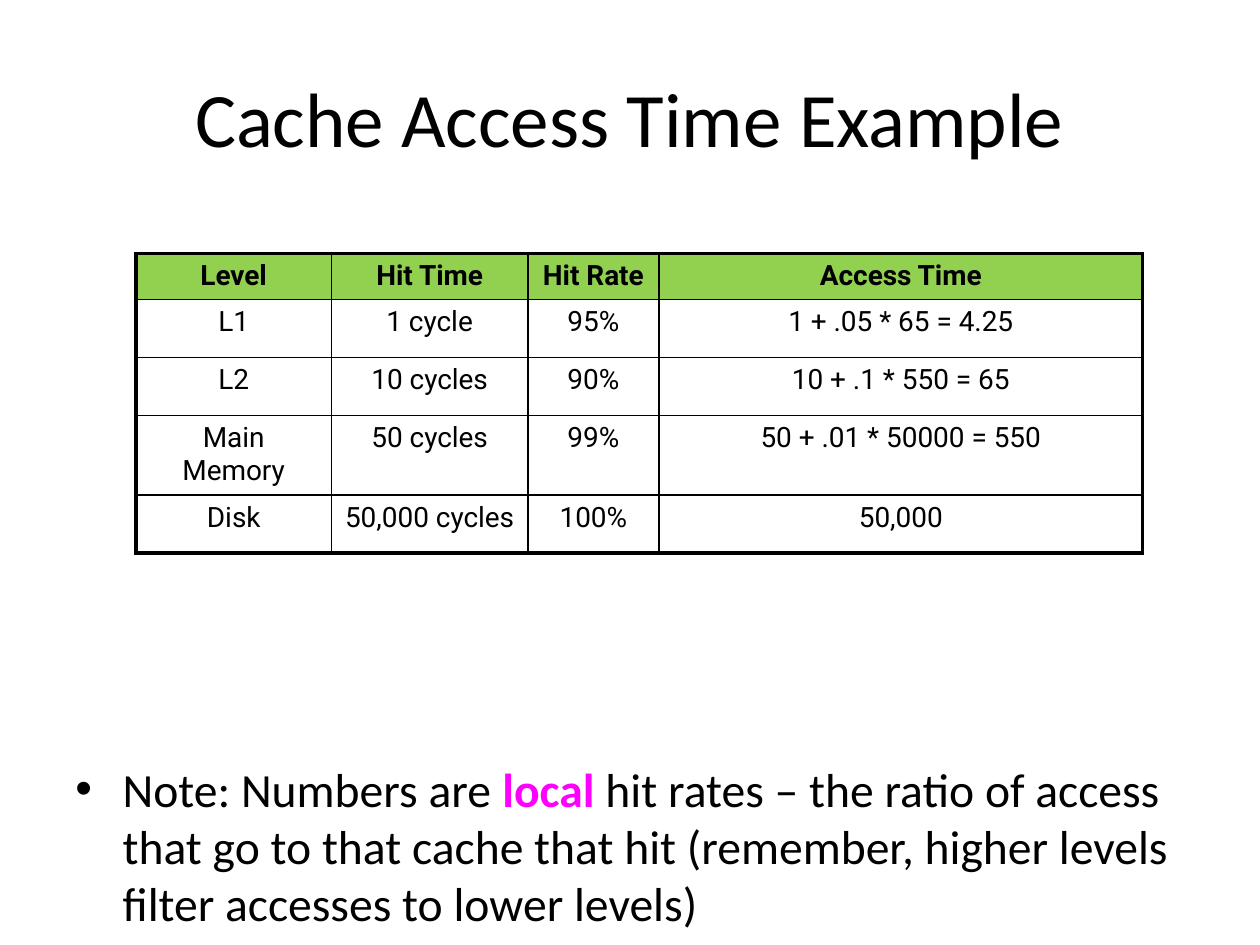
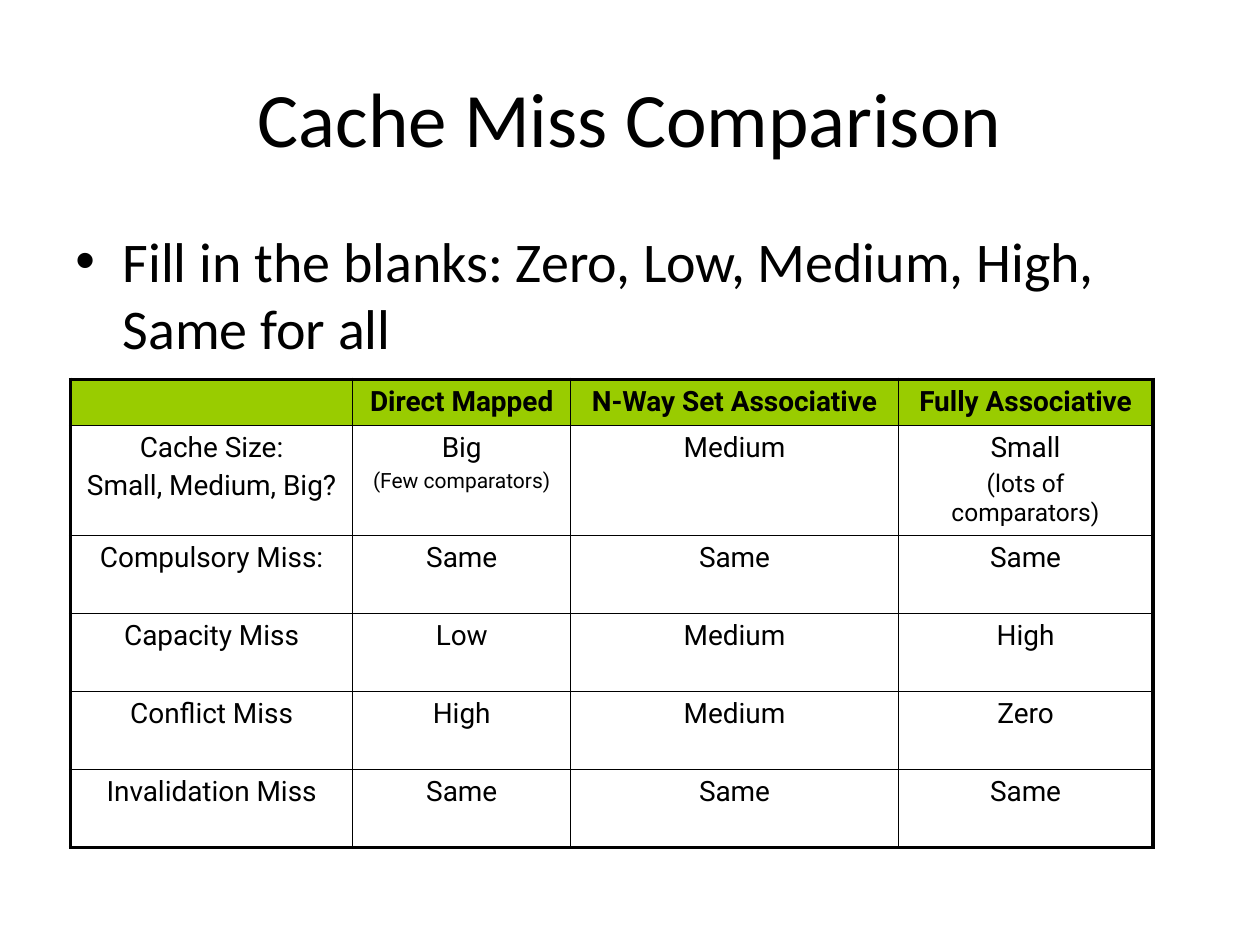
"""Build two slides on cache access times and cache misses."""
from lxml.etree import SubElement as Sub
from pptx import Presentation
from pptx.dml.color import RGBColor as RGB
from pptx.enum.text import MSO_ANCHOR as Anchor, PP_ALIGN as Align
from pptx.oxml.ns import qn
from pptx.util import Inches, Pt

BLACK = RGB(0, 0, 0)
PINK = RGB(255, 0, 255)
GREEN = RGB(0x92, 0xD0, 0x50)
LIME = RGB(0x99, 0xCC, 0)
COLS, ROWS = 100, 75
THIN, THICK = 1, 2.25

TIMES = [
    ["Level", "Hit Time", "Hit Rate", "Access Time"],
    ["L1", "1 cycle", "95%", "1 + .05 * 65 = 4.25"],
    ["L2", "10 cycles", "90%", "10 + .1 * 550 = 65"],
    ["Main Memory", "50 cycles", "99%", "50 + .01 * 50000 = 550"],
    ["Disk", "50,000 cycles", "100%", "50,000"],
]
MISSES = [
    ["", "Direct Mapped", "N-Way Set Associative", "Fully Associative"],
    ["Cache Size:\nSmall, Medium, Big?", "Big\n(Few comparators)",
     "Medium", "Small\n(lots of comparators)"],
    ["Compulsory Miss:", "Same", "Same", "Same"],
    ["Capacity Miss", "Low", "Medium", "High"],
    ["Conflict Miss", "High", "Medium", "Zero"],
    ["Invalidation Miss", "Same", "Same", "Same"],
]
ASIDES = {"(Few comparators)": 12, "(lots of comparators)": 14}


class Deck:
    """Hold the style and the current slide."""

    def __init__(self):
        self.show = Presentation()
        self.show.slide_width, self.show.slide_height = Inches(10), Inches(7.5)
        self.slide = None

    def across(self, cols):
        return int(self.show.slide_width * cols / COLS)

    def down(self, rows):
        return int(self.show.slide_height * rows / ROWS)

    def font(self, para, size, name="Calibri", bold=False):
        font = para.font
        font.size, font.name, font.bold = Pt(size), name, bold
        font.color.rgb = BLACK

    def box(self, top, high):
        box = self.slide.shapes.add_textbox(
            self.across(5), self.down(top), self.across(90), self.down(high))
        box.text_frame.word_wrap = True
        return box.text_frame

    def title(self, text):
        self.slide = self.show.slides.add_slide(self.show.slide_layouts[6])
        frame = self.box(3, 12.5)
        frame.vertical_anchor = Anchor.MIDDLE
        para = frame.paragraphs[0]
        para.text, para.alignment = text, Align.CENTER
        self.font(para, 44)

    def bullet(self, top, high, size, texts, key=None):
        para = self.box(top, high).paragraphs[0]
        self.font(para, size)
        for text in texts:
            run = para.add_run()
            run.text = text
            if text == key:
                run.font.bold, run.font.color.rgb = True, PINK
        props = para._p.get_or_add_pPr()
        indent = Inches(0.375)
        props.set("marL", str(indent))
        props.set("indent", str(-indent))
        mark = props.makeelement(qn("a:buChar"), {"char": "•"})
        face = props.makeelement(qn("a:buFont"), {"typeface": "Arial"})
        props.insert(0, face)
        props.insert(1, mark)

    def edge(self, cell, side, width):
        props = cell._tc.get_or_add_tcPr()
        line = Sub(props, qn("a:ln" + side), w=str(Pt(width)))
        Sub(Sub(line, qn("a:solidFill")), qn("a:srgbClr"), val=str(BLACK))

    def fill_cell(self, cell, text, head):
        if not text:
            cell.margin_top = cell.margin_bottom = 0
        cell.text = text
        for spot, para in enumerate(cell.text_frame.paragraphs):
            size = ASIDES.get(para.text, 16)
            para.alignment = Align.CENTER
            para.space_before = Pt(size * 0.2 if spot else 0)
            self.font(para, size, "Roboto", head)

    def table(self, left, top, wide, high, data, tint):
        grid = self.slide.shapes.add_table(
            len(data), len(wide), self.across(left), self.down(top),
            self.across(sum(wide)), self.down(sum(high))).table
        grid.first_row = grid.horz_banding = False
        for col, width in zip(grid.columns, wide):
            col.width = self.across(width)
        for row, height in zip(grid.rows, high):
            row.height = self.down(height)
        for r, texts in enumerate(data):
            for c, text in enumerate(texts):
                cell = grid.cell(r, c)
                self.fill_cell(cell, text, r == 0)
                outer = {"L": c == 0, "R": c == len(wide) - 1,
                         "T": r == 0, "B": r == len(data) - 1}
                for side, rim in outer.items():
                    self.edge(cell, side, THICK if rim else THIN)
                if r == 0:
                    cell.fill.solid()
                    cell.fill.fore_color.rgb = tint
                else:
                    cell.fill.background()


def main():
    deck = Deck()
    deck.title("Cache Access Time Example")
    deck.bullet(59.8, 14, 27.2, [
        "Note: Numbers are ", "local",
        " hit rates – the ratio of access that go to that cache that hit "
        "(remember, higher levels filter accesses to lower levels)"], "local")
    deck.table(10.8, 20.1, [15.5, 15.6, 10.4, 38.4],
               [3.6, 4.6, 4.6, 6.2, 4.6], TIMES, GREEN)

    deck.title("Cache Miss Comparison")
    deck.bullet(17.5, 49.5, 32, [
        "Fill in the blanks: Zero, Low, Medium, High, Same for all"])
    deck.table(5.6, 30.1, [22.4, 17.3, 26, 20.2],
               [3.6, 8.6] + [6.2] * 4, MISSES, LIME)
    deck.show.save("out.pptx")


if __name__ == "__main__":
    main()
